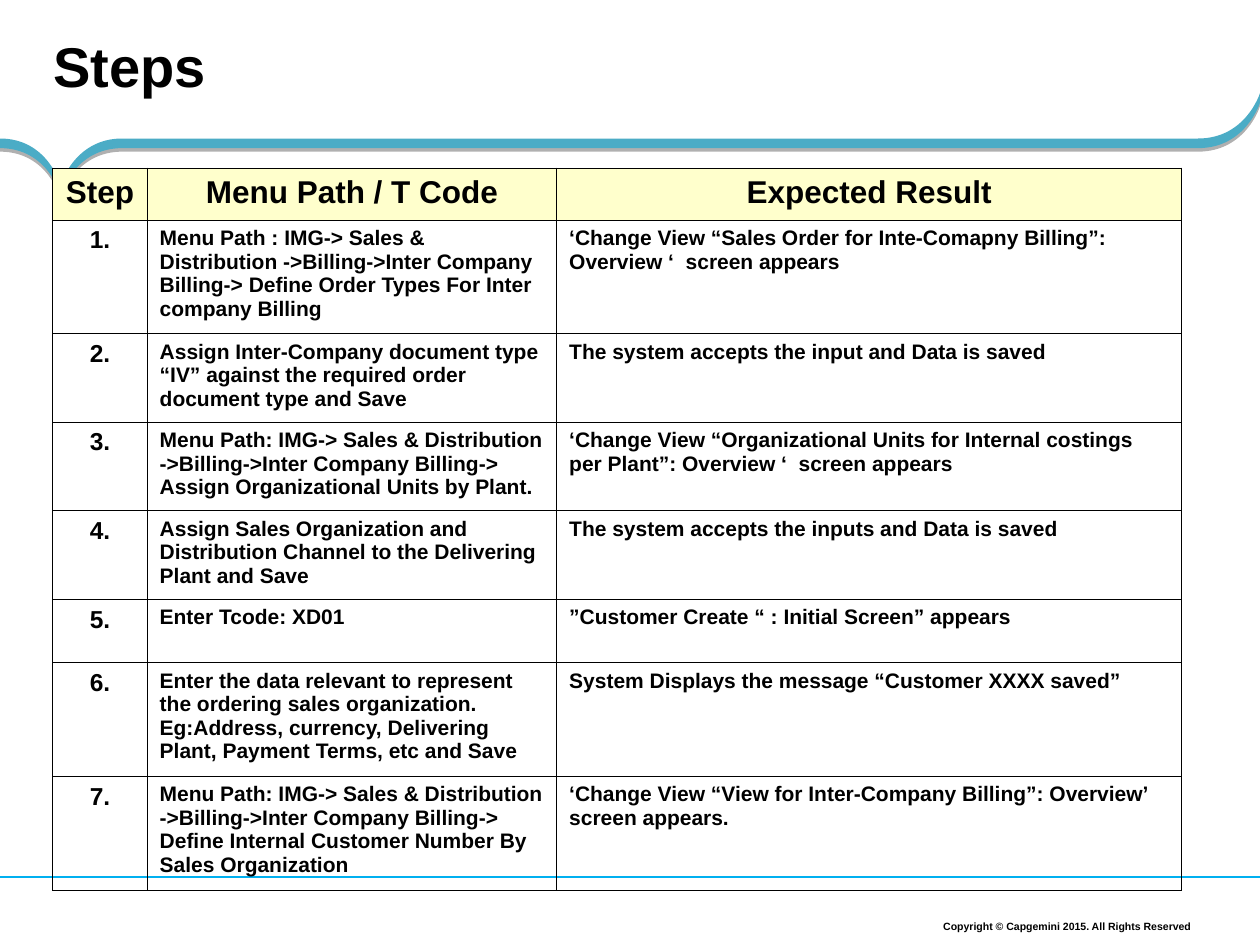
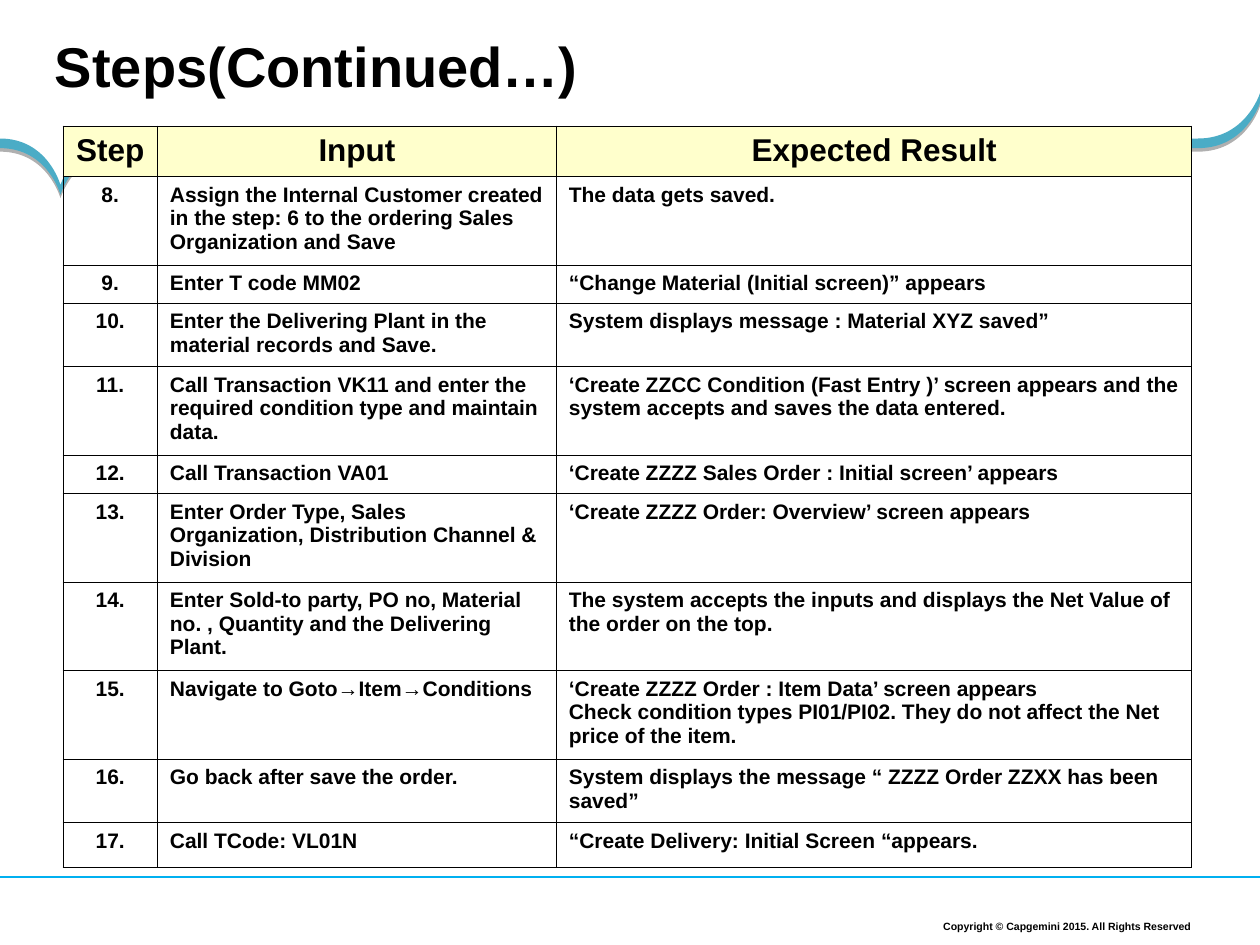
from dataclasses import dataclass
from typing import Any, NamedTuple

import lxml.etree
import pptx
import pptx.dml.color
import pptx.enum.shapes
import pptx.enum.text
import pptx.oxml.ns
import pptx.util

Pt = pptx.util.Pt
qn = pptx.oxml.ns.qn
ALIGN = pptx.enum.text.PP_ALIGN
ANCHOR = pptx.enum.text.MSO_ANCHOR


@dataclass(frozen=True)
class Theme:
    font: str = "Arial"
    text: str = "000000"
    ribbon: str = "4BACC6"
    rule: str = "00B0F0"
    header_fill: str = "FFFFCC"
    border: str = "000000"
    title_size: float = 32
    header_size: float = 18
    body_size: float = 12
    footer_size: float = 6
    rule_width: float = 0.75
    border_width: float = 0.45


class Point(NamedTuple):
    x: float
    y: float


class Segment(NamedTuple):
    """A cubic curve to its end; a straight line has no controls."""
    end: Point
    controls: tuple[Point, ...] = ()


class Step(NamedTuple):
    action: str
    result: str
    lines: int


@dataclass(frozen=True)
class StepsPage:
    title: str
    title_left: float
    left: float
    top: float
    columns: tuple[float, ...]
    headings: tuple[str, ...]
    header_height: float
    number_size: float
    first_number: int
    steps: tuple[Step, ...]
    extra_last: float = 0


THEME = Theme()
SLIDE_WIDTH, SLIDE_HEIGHT = 720, 540
LINE_HEIGHT = 14.4
CELL_SIDE, CELL_TOP = 7.09, 3.69
RIBBON_THICKNESS = 5.5
RULE_Y = 501.1
FOOTER = "Copyright © Capgemini 2015. All Rights Reserved"

PAGES = (
    StepsPage(
        title="Steps", title_left=30.4, left=30.2, top=96,
        columns=(54, 234, 357), headings=("Step", "Menu Path / T Code", "Expected Result"),
        header_height=29.7, number_size=14, first_number=1,
        steps=(
            Step("Menu Path : IMG-> Sales & Distribution ->Billing->Inter Company Billing-> "
                 "Define Order Types For Inter company Billing",
                 "‘Change View “Sales Order for Inte-Comapny Billing”: Overview ‘  screen appears", 4),
            Step("Assign Inter-Company document type “IV” against the required order "
                 "document type and Save",
                 "The system accepts the input and Data is saved", 3),
            Step("Menu Path: IMG-> Sales & Distribution ->Billing->Inter Company Billing-> "
                 "Assign Organizational Units by Plant.",
                 "‘Change View “Organizational Units for Internal costings per Plant”: "
                 "Overview ‘  screen appears", 3),
            Step("Assign Sales Organization and Distribution Channel to the Delivering "
                 "Plant and Save",
                 "The system accepts the inputs and Data is saved", 3),
            Step("Enter Tcode: XD01", "”Customer Create “ : Initial Screen” appears", 2),
            Step("Enter the data relevant to represent the ordering sales organization. "
                 "Eg:Address, currency, Delivering Plant, Payment Terms, etc and Save",
                 "System Displays the message “Customer XXXX saved”", 4),
            Step("Menu Path: IMG-> Sales & Distribution ->Billing->Inter Company Billing-> "
                 "Define Internal Customer Number By Sales Organization",
                 "‘Change View “View for Inter-Company Billing”: Overview’ screen appears.", 4),
        ),
    ),
    StepsPage(
        title="Steps(Continued…)", title_left=31.4, left=36, top=72,
        columns=(54, 228, 363), headings=("Step", "Input", "Expected Result"),
        header_height=28.8, number_size=12, first_number=8, extra_last=4.1,
        steps=(
            Step("Assign the Internal Customer created in the step: 6 to the ordering "
                 "Sales Organization and Save", "The data gets saved.", 3),
            Step("Enter T code MM02", "“Change Material (Initial screen)” appears", 1),
            Step("Enter the Delivering Plant in the material records and Save.",
                 "System displays message : Material XYZ saved”", 2),
            Step("Call Transaction VK11 and enter the required condition type and maintain data.",
                 "‘Create ZZCC Condition (Fast Entry )’ screen appears and the system accepts "
                 "and saves the data entered.", 3),
            Step("Call Transaction VA01", "‘Create ZZZZ Sales Order : Initial screen’ appears", 1),
            Step("Enter Order Type, Sales Organization, Distribution Channel & Division",
                 "‘Create ZZZZ Order: Overview’ screen appears", 3),
            Step("Enter Sold-to party, PO no, Material no. , Quantity and the Delivering Plant.",
                 "The system accepts the inputs and displays the Net Value of the order on the top.", 3),
            Step("Navigate to Goto→Item→Conditions",
                 "‘Create ZZZZ Order : Item Data’ screen appears\n"
                 "Check condition types PI01/PI02. They do not affect the Net price of the item.", 3),
            Step("Go back after save the order.",
                 "System displays the message “ ZZZZ Order ZZXX has been saved”", 2),
            Step("Call TCode: VL01N", "“Create Delivery: Initial Screen “appears.", 1),
        ),
    ),
)


def rgb(color: str) -> pptx.dml.color.RGBColor:
    return pptx.dml.color.RGBColor.from_string(color)


def apply(target: Any, values: dict[str, Any]) -> None:
    for attribute, value in values.items():
        setattr(target, attribute, value)


def write(frame: Any, text: str, size: float, align: Any, **paragraph_format: Any) -> None:
    """Fill a text frame, one paragraph per line of text, in the bold theme font."""
    frame.text = text
    for paragraph in frame.paragraphs:
        apply(paragraph, {"alignment": align, **paragraph_format})
        for run in paragraph.runs:
            apply(run.font, {"name": THEME.font, "size": Pt(size), "bold": True})
            run.font.color.rgb = rgb(THEME.text)


def ribbon_outline() -> tuple[Point, list[Segment]]:
    """The upper edge from right to left, then the same edge lowered and run back."""
    level = 79.2
    start, dip, crest = Point(0, level), Point(34.6, 105.8), Point(69.8, level)
    bend, tip = Point(684.7, level), Point(SLIDE_WIDTH, 53.3)
    upper = [Segment(bend, (tip, Point(712, level))),
             Segment(crest),
             Segment(dip, (Point(42.5, level), dip)),
             Segment(start, (dip, Point(27.4, level)))]

    def lowered(point: Point) -> Point:
        return Point(point.x, point.y + RIBBON_THICKNESS)

    back_ends = [tip, bend, crest, dip]
    lower = [Segment(lowered(end), tuple(map(lowered, reversed(segment.controls))))
             for segment, end in zip(reversed(upper), reversed(back_ends))]
    return tip, [*upper, Segment(lowered(start)), *lower]


def bend_lines(freeform: Any, segments: list[Segment]) -> None:
    """Turn each straight segment that has controls into a cubic curve."""
    lines = list(freeform._element.spPr.iter(qn("a:lnTo")))
    for line, segment in zip(lines, segments):
        if segment.controls:
            line.tag_name = None
            cubic = lxml.etree.Element(qn("a:cubicBezTo"))
            for x, y in segment.controls:
                lxml.etree.SubElement(cubic, qn("a:pt"), x=str(Pt(x) - freeform.left),
                                      y=str(Pt(y) - freeform.top))
            cubic.extend(list(line))
            line.getparent().replace(line, cubic)


def draw_ribbon(slide: Any) -> None:
    start, segments = ribbon_outline()
    builder = slide.shapes.build_freeform(Pt(start.x), Pt(start.y))
    builder.add_line_segments([(Pt(segment.end.x), Pt(segment.end.y)) for segment in segments],
                              close=True)
    ribbon = builder.convert_to_shape()
    bend_lines(ribbon, segments)
    ribbon.fill.solid()
    ribbon.fill.fore_color.rgb = rgb(THEME.ribbon)
    ribbon.line.fill.background()
    ribbon.shadow.inherit = False
    effects = ribbon._element.spPr.find(qn("a:effectLst"))
    shadow = lxml.etree.SubElement(effects, qn("a:outerShdw"), blurRad="0", dist=str(Pt(2)),
                                   dir="5400000", algn="ctr", rotWithShape="0")
    shade = lxml.etree.SubElement(shadow, qn("a:srgbClr"), val="000000")
    lxml.etree.SubElement(shade, qn("a:alpha"), val="31000")


def draw_footer(slide: Any) -> None:
    notice = slide.shapes.add_textbox(Pt(490), Pt(521.3), Pt(193.4), Pt(14.4)).text_frame
    margins = dict.fromkeys(("margin_left", "margin_top", "margin_right", "margin_bottom"), Pt(2.9))
    apply(notice, {"word_wrap": True, "vertical_anchor": ANCHOR.BOTTOM, **margins})
    write(notice, FOOTER, THEME.footer_size, ALIGN.RIGHT, line_spacing=0.9)

    rule = slide.shapes.add_connector(pptx.enum.shapes.MSO_CONNECTOR.STRAIGHT,
                                      Pt(SLIDE_WIDTH), Pt(RULE_Y), Pt(0), Pt(RULE_Y))
    rule.line.color.rgb = rgb(THEME.rule)
    rule.line.width = Pt(THEME.rule_width)
    lxml.etree.SubElement(rule._element.spPr, qn("a:effectLst"))


def draw_title(slide: Any, page: StepsPage) -> None:
    title = slide.shapes.title
    apply(title, {"left": Pt(page.title_left), "top": Pt(18), "width": Pt(687.6), "height": Pt(52.6)})
    apply(title.text_frame, {
        "margin_left": 0, "margin_top": 0, "margin_right": 0, "margin_bottom": 0,
        "word_wrap": True, "vertical_anchor": ANCHOR.TOP,
        "auto_size": pptx.enum.text.MSO_AUTO_SIZE.NONE,
    })
    write(title.text_frame, page.title, THEME.title_size, ALIGN.LEFT)


def add_borders(cell: Any) -> None:
    properties = cell._tc.get_or_add_tcPr()
    for side in ("lnL", "lnR", "lnT", "lnB"):
        line = lxml.etree.SubElement(properties, qn(f"a:{side}"), w=str(Pt(THEME.border_width)))
        fill = lxml.etree.SubElement(line, qn("a:solidFill"))
        lxml.etree.SubElement(fill, qn("a:srgbClr"), val=THEME.border)


def draw_steps(slide: Any, page: StepsPage) -> None:
    heights = [page.header_height] + [2 * CELL_TOP + LINE_HEIGHT * step.lines for step in page.steps]
    heights[-1] += page.extra_last
    rows = [page.headings] + [(f"{number}.", step.action, step.result)
                              for number, step in enumerate(page.steps, page.first_number)]
    steps = slide.shapes.add_table(len(rows), len(page.columns), Pt(page.left), Pt(page.top),
                                   Pt(sum(page.columns)), Pt(sum(heights))).table
    apply(steps, {"first_row": False, "horz_banding": False})
    for column, width in zip(steps.columns, page.columns):
        column.width = Pt(width)
    for row_index, (row, height, texts) in enumerate(zip(steps.rows, heights, rows)):
        row.height = Pt(height)
        is_header = row_index == 0
        for column_index, (cell, text) in enumerate(zip(row.cells, texts)):
            is_number = column_index == 0
            size = (THEME.header_size if is_header
                    else page.number_size if is_number else THEME.body_size)
            write(cell.text_frame, text, size,
                  ALIGN.CENTER if is_header or is_number else ALIGN.LEFT)
            apply(cell, {"margin_left": Pt(CELL_SIDE), "margin_right": Pt(CELL_SIDE),
                         "margin_top": Pt(CELL_TOP), "margin_bottom": Pt(CELL_TOP)})
            add_borders(cell)
            if is_header:
                cell.fill.solid()
                cell.fill.fore_color.rgb = rgb(THEME.header_fill)
            else:
                cell.fill.background()


def main() -> None:
    deck = pptx.Presentation()
    apply(deck, {"slide_width": Pt(SLIDE_WIDTH), "slide_height": Pt(SLIDE_HEIGHT)})
    title_only = deck.slide_layouts[5]
    for page in PAGES:
        slide = deck.slides.add_slide(title_only)
        draw_ribbon(slide)
        draw_footer(slide)
        draw_title(slide, page)
        draw_steps(slide, page)
    deck.save("out.pptx")


if __name__ == "__main__":
    main()
